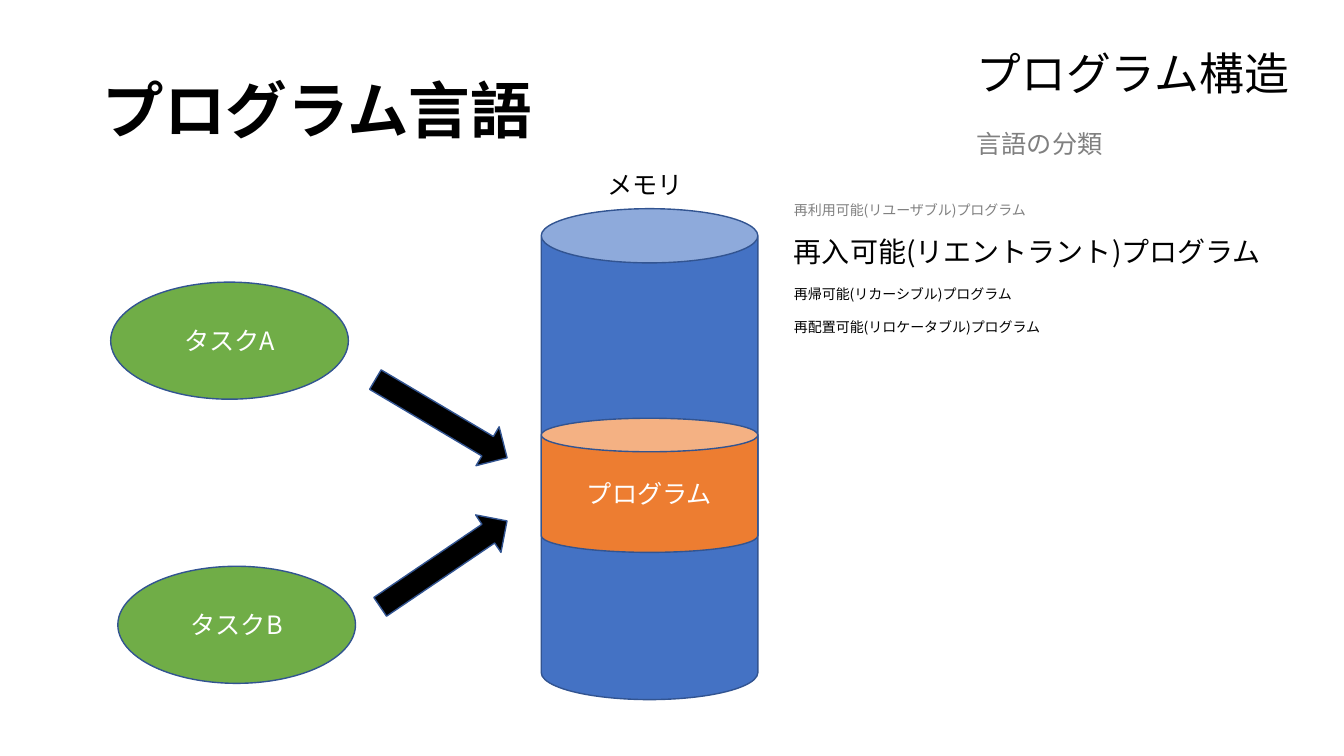
from dataclasses import dataclass

from lxml.etree import SubElement
from pptx import Presentation
from pptx.dml.color import RGBColor
from pptx.enum.shapes import MSO_SHAPE
from pptx.enum.text import MSO_ANCHOR, MSO_AUTO_SIZE, PP_ALIGN
from pptx.oxml.ns import qn
from pptx.slide import Slide
from pptx.text.text import _Paragraph
from pptx.util import Cm, Pt

FONT = "Noto Sans CJK JP"
BLACK = RGBColor(0x00, 0x00, 0x00)
WHITE = RGBColor(0xFF, 0xFF, 0xFF)
GRAY = RGBColor(0x80, 0x80, 0x80)
BLUE = RGBColor(0x44, 0x72, 0xC4)
ORANGE = RGBColor(0xED, 0x7D, 0x31)
GREEN = RGBColor(0x70, 0xAD, 0x47)
OUTLINE = RGBColor(0x32, 0x54, 0x91)


@dataclass(frozen=True)
class Box:
    left: float
    top: float
    width: float
    height: float

    def emu(self) -> tuple[Cm, Cm, Cm, Cm]:
        return Cm(self.left), Cm(self.top), Cm(self.width), Cm(self.height)


@dataclass(frozen=True)
class Line:
    text: str
    size: int
    color: RGBColor = BLACK


@dataclass(frozen=True)
class TextBlock:
    box: Box
    lines: tuple[Line, ...]
    gap: int = 0


@dataclass(frozen=True)
class Figure:
    kind: MSO_SHAPE
    box: Box
    fill: RGBColor
    label: str = ""
    rotation: float = 0


TITLE = TextBlock(Box(2.34, 1.02, 16.46, 3.68), (Line("プログラム言語", 44),))

TEXT_BLOCKS = (
    TextBlock(
        Box(24.36, 1.02, 8.56, 3.18),
        (Line("プログラム構造", 32), Line("言語の分類", 18, GRAY)),
        gap=21,
    ),
    TextBlock(
        Box(19.76, 4.95, 13.16, 3.68),
        (
            Line("再利用可能(リユーザブル)プログラム", 10, GRAY),
            Line("再入可能(リエントラント)プログラム", 20),
            Line("再帰可能(リカーシブル)プログラム", 10),
            Line("再配置可能(リロケータブル)プログラム", 10),
        ),
        gap=12,
    ),
    TextBlock(Box(15.06, 4.14, 4.06, 1.02), (Line("メモリ", 18),)),
)

FIGURES = (
    Figure(MSO_SHAPE.CAN, Box(13.64, 5.26, 5.46, 12.37), BLUE),
    Figure(MSO_SHAPE.CAN, Box(13.64, 10.54, 5.46, 3.38), ORANGE, "プログラム"),
    Figure(MSO_SHAPE.OVAL, Box(2.79, 7.11, 5.99, 2.95), GREEN, "タスクA"),
    Figure(MSO_SHAPE.OVAL, Box(2.97, 14.27, 5.99, 2.95), GREEN, "タスクB"),
    Figure(MSO_SHAPE.RIGHT_ARROW, Box(9.19, 9.98, 3.86, 1.14), BLACK, rotation=30.7),
    Figure(MSO_SHAPE.RIGHT_ARROW, Box(9.25, 13.64, 3.86, 1.14), BLACK, rotation=325.9),
)


def write_line(paragraph: _Paragraph, line: Line) -> None:
    """Fill a paragraph, naming the font for Latin and East Asian text alike."""
    paragraph.text = line.text
    font = paragraph.font
    font.name = FONT
    font.size = Pt(line.size)
    font.color.rgb = line.color
    for properties in (paragraph.font._element, paragraph.runs[0].font._element):
        SubElement(properties, qn("a:ea"), typeface=FONT)


def add_text_block(slide: Slide, block: TextBlock) -> None:
    frame = slide.shapes.add_textbox(*block.box.emu()).text_frame
    frame.word_wrap = True
    frame.auto_size = MSO_AUTO_SIZE.SHAPE_TO_FIT_TEXT
    for index, line in enumerate(block.lines):
        paragraph = frame.add_paragraph() if index else frame.paragraphs[0]
        write_line(paragraph, line)
        if index:
            paragraph.space_before = Pt(block.gap)


def add_title(slide: Slide, title: TextBlock) -> None:
    frame = slide.shapes.add_textbox(*title.box.emu()).text_frame
    frame.word_wrap = True
    frame.vertical_anchor = MSO_ANCHOR.MIDDLE
    heading = frame.paragraphs[0]
    write_line(heading, title.lines[0])
    heading.font.bold = True
    heading.line_spacing = 0.9


def add_figure(slide: Slide, figure: Figure) -> None:
    shape = slide.shapes.add_shape(figure.kind, *figure.box.emu())
    shape.rotation = figure.rotation
    shape.shadow.inherit = False
    shape.fill.solid()
    shape.fill.fore_color.rgb = figure.fill
    shape.line.color.rgb = OUTLINE
    shape.line.width = Pt(1)
    if figure.label:
        shape.text_frame.vertical_anchor = MSO_ANCHOR.MIDDLE
        label = shape.text_frame.paragraphs[0]
        write_line(label, Line(figure.label, 18, WHITE))
        label.alignment = PP_ALIGN.CENTER


def main() -> None:
    presentation = Presentation()
    presentation.slide_width = Cm(33.87)
    presentation.slide_height = Cm(19.05)
    slide = presentation.slides.add_slide(presentation.slide_layouts[6])
    add_title(slide, TITLE)
    for block in TEXT_BLOCKS:
        add_text_block(slide, block)
    for figure in FIGURES:
        add_figure(slide, figure)
    presentation.save("out.pptx")


if __name__ == "__main__":
    main()
